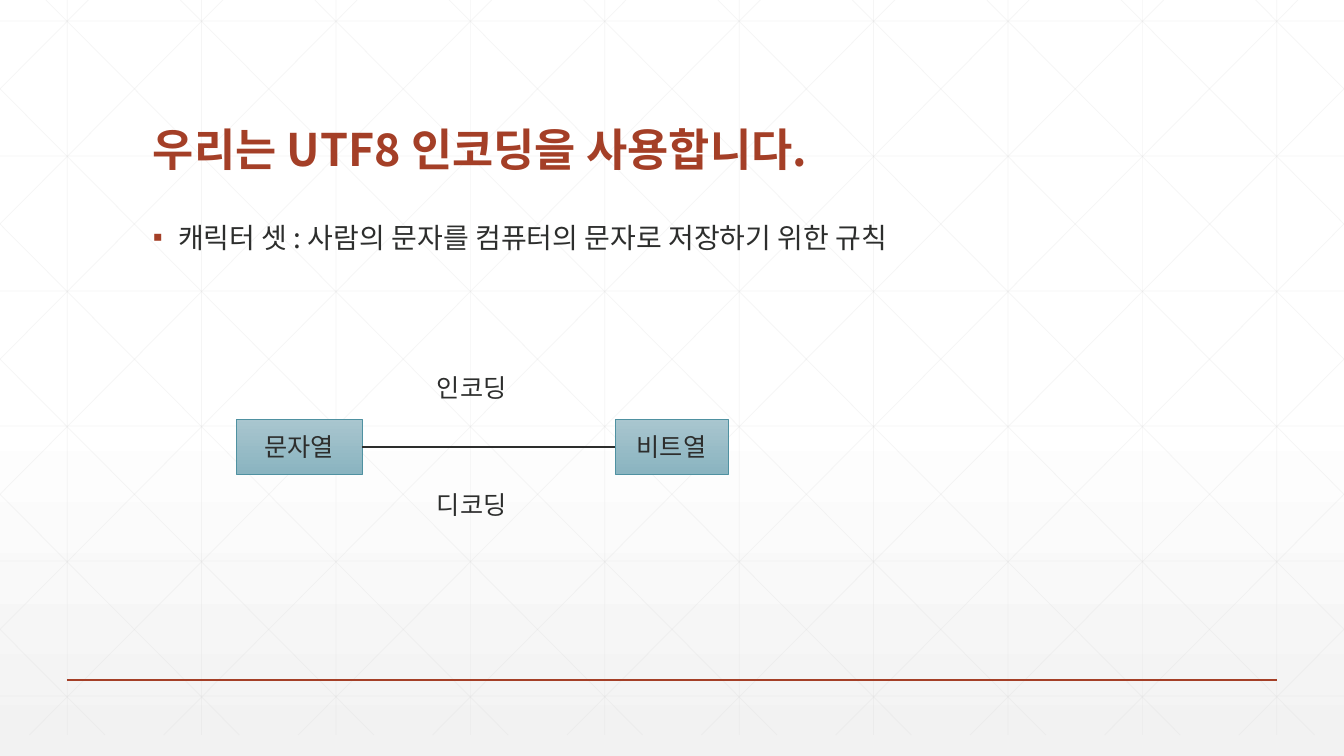
from dataclasses import dataclass
from lxml import etree
from pptx import Presentation
from pptx.dml.color import RGBColor
from pptx.enum.shapes import MSO_CONNECTOR, MSO_SHAPE
from pptx.enum.text import MSO_ANCHOR, PP_ALIGN
from pptx.oxml.ns import qn
from pptx.util import Pt

RECT = MSO_SHAPE.RECTANGLE
STRAIGHT = MSO_CONNECTOR.STRAIGHT
TOP, MIDDLE, BOTTOM = MSO_ANCHOR.TOP, MSO_ANCHOR.MIDDLE, MSO_ANCHOR.BOTTOM
LEFT, CENTER = PP_ALIGN.LEFT, PP_ALIGN.CENTER

WIDE, HIGH = 1344, 756
SCALE = 12192000 / WIDE


@dataclass(frozen=True)
class Theme:
    ink: str = "2D2E2D"
    accent: str = "A43F27"
    grid: str = "D9D9D9"
    edge: str = "4F91A1"
    paper: tuple = ((0.53, "FFFFFF"), (1, "F2F2F2"))
    box: tuple = ((0, "A9C6CF"), (1, "8AB4C0"))
    font: str = "Noto Sans CJK KR"
    plain: str = "Arial"
    title: int = 32
    body: int = 20
    label: int = 18


def emu(*sizes):
    return [round(size * SCALE) for size in sizes]


def shade(fill, stops):
    fill.gradient()
    fill.gradient_angle = 270
    for stop, (place, color) in zip(fill.gradient_stops, stops):
        stop.position = place
        stop.color.rgb = RGBColor.from_string(color)


def write(frame, text, theme, size, color, font, bold=False, align=LEFT,
          anchor=TOP, wrap=True, space=1.0, bullet=None):
    frame.word_wrap = wrap
    frame.vertical_anchor = anchor
    para = frame.paragraphs[0]
    para.alignment = align
    para.line_spacing = space
    run = para.add_run()
    run.text = text
    run.font.size = Pt(size)
    run.font.bold = bold
    run.font.name = font
    run.font.color.rgb = RGBColor.from_string(color)
    props = run.font._element
    etree.SubElement(props, qn("a:ea"), typeface=theme.font)
    if bullet:
        props = para._p.get_or_add_pPr()
        props.set("marL", "228600")
        props.set("indent", "-228600")
        tint = etree.SubElement(props, qn("a:buClr"))
        etree.SubElement(tint, qn("a:srgbClr"), val=theme.accent)
        etree.SubElement(props, qn("a:buFont"), typeface=theme.plain)
        etree.SubElement(props, qn("a:buChar"), char=bullet)


class Board:
    def __init__(self, slide, theme):
        self.slide = slide
        self.theme = theme

    def paint(self):
        shade(self.slide.background.fill, self.theme.paper)

    def line(self, start, end, color, width, alpha=None):
        link = self.slide.shapes.add_connector(STRAIGHT, *emu(*start, *end))
        link.line.color.rgb = RGBColor.from_string(color)
        link.line.width = Pt(width)
        props = link._element.spPr
        etree.SubElement(props, qn("a:effectLst"))
        if alpha:
            tint = props.find(".//" + qn("a:srgbClr"))
            etree.SubElement(tint, qn("a:alpha"), val=str(alpha * 1000))

    def text(self, place, words, **style):
        area = self.slide.shapes.add_textbox(*emu(*place))
        write(area.text_frame, words, self.theme, **style)

    def box(self, place, words, **style):
        shape = self.slide.shapes.add_shape(RECT, *emu(*place))
        shape.shadow.inherit = False
        shade(shape.fill, self.theme.box)
        shape.line.color.rgb = RGBColor.from_string(self.theme.edge)
        shape.line.width = Pt(0.5)
        write(shape.text_frame, words, self.theme, align=CENTER,
              anchor=MIDDLE, **style)

    def grid(self):
        base, step, run = 735, 134.4, 731
        lines = [((67.2 + step * i, 0), (67.2 + step * i, base))
                 for i in range(10)]
        lines += [((0, 21 + 135 * i), (WIDE, 21 + 135 * i)) for i in range(6)]
        for i in range(-5, 10):
            top = 46 + step * i
            ends = [(x, (x - top) * base / run)
                    for x in (max(top, 0), min(top + run, WIDE))]
            lines += [ends, [(WIDE - x, y) for x, y in ends]]
        for start, end in lines:
            self.line(start, end, self.theme.grid, 0.5, alpha=25)


theme = Theme()
deck = Presentation()
deck.slide_width, deck.slide_height = emu(WIDE, HIGH)
board = Board(deck.slides.add_slide(deck.slide_layouts[6]), theme)
board.paint()
board.grid()
board.line((67, 680), (1277, 680), theme.accent, 1)
board.text((143, 55, 1058, 126), "우리는 UTF8 인코딩을 사용합니다.",
           size=theme.title, color=theme.accent, font=theme.font, bold=True,
           anchor=BOTTOM, space=0.9)
board.text((143, 219, 1058, 420),
           "캐릭터 셋 : 사람의 문자를 컴퓨터의 문자로 저장하기 위한 규칙",
           size=theme.body, color=theme.ink, font=theme.font, space=0.9,
           bullet="▪")

label = dict(size=theme.label, color=theme.ink, font=theme.plain)
for left, width, words in ((236, 126, "문자열"), (615, 113, "비트열")):
    board.box((left, 419, width, 55), words, **label)
board.line((362, 447), (615, 447), theme.ink, 1.5)
for top, words in ((367, "인코딩"), (484, "디코딩")):
    board.text((427, top, 97, 40), words, wrap=False, **label)
deck.save("out.pptx")
